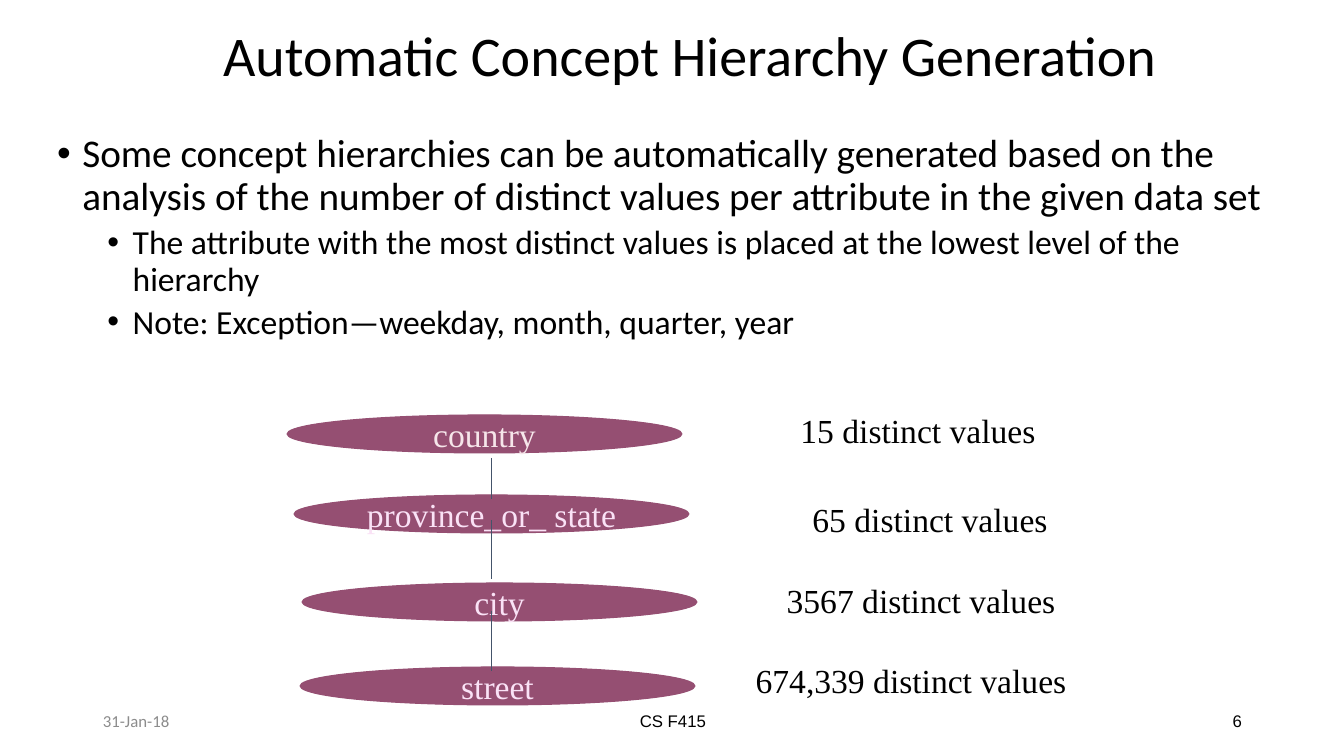
from dataclasses import dataclass

from lxml.etree import SubElement
from pptx import Presentation
from pptx.dml.color import RGBColor
from pptx.enum.shapes import MSO_CONNECTOR as Connector, MSO_SHAPE as Shape
from pptx.enum.text import MSO_ANCHOR as Anchor, MSO_AUTO_SIZE as AutoSize, PP_ALIGN as Align
from pptx.oxml.ns import qn
from pptx.util import Emu, Pt

EMU_PER_PIXEL = 914400 / 100.8


@dataclass(frozen=True)
class Theme:
    """Colours, fonts and type sizes of the slide."""
    ink: str = "000000"
    muted: str = "8C8C8C"
    level_fill: str = "954F72"
    top_label: str = "F6E6EA"
    level_label: str = "FAE2F6"
    link: str = "44546A"
    sans: str = "Calibri"
    serif: str = "Times New Roman"
    footer: str = "Arial"
    title_size: int = 40
    point_size: int = 28
    diagram_size: int = 24
    footer_size: int = 12


THEME = Theme()
POINTS = [
    (0, "Some concept hierarchies can be automatically generated based on the "
        "analysis of the number of distinct values per attribute in the given data set"),
    (1, "The attribute with the most distinct values is placed at the lowest level of the hierarchy"),
    (1, "Note: Exception—weekday, month, quarter, year"),
]
LEVELS = [
    ("country", THEME.top_label, 0, 10),
    ("province_or_ state", THEME.level_label, 7, 90),
    ("city", THEME.level_label, 15, 178),
    ("street", THEME.level_label, 13, 262),
]
LINKS = [(53, 94), (115, 174), (206, 266)]
COUNTS = [
    ("15 distinct values", 461, 0),
    ("65 distinct values", 473, 89),
    ("3567 distinct values", 464, 170),
    ("674,339 distinct values", 454, 250),
]
FOOTERS = [
    ("31-Jan-18", 0, 302, Align.LEFT, THEME.sans, THEME.muted),
    ("CS F415", 353, 454, Align.CENTER, THEME.footer, THEME.ink),
    ("6", 857, 302, Align.RIGHT, THEME.footer, THEME.ink),
]


def px(*lengths):
    """Turn pixel lengths into EMU."""
    return [Emu(round(length * EMU_PER_PIXEL)) for length in lengths]


def style(paragraph, size, face, colour, align):
    """Set the font and alignment of a paragraph."""
    paragraph.alignment = align
    paragraph.font.size = Pt(size)
    paragraph.font.name = face
    paragraph.font.color.rgb = RGBColor.from_string(colour)


def place(placeholder, box):
    """Move a placeholder to a box and stop it from shrinking its text."""
    placeholder.left, placeholder.top, placeholder.width, placeholder.height = px(*box)
    placeholder.text_frame.auto_size = AutoSize.NONE
    return placeholder.text_frame


def add_label(slide, box, text, size, face, colour, align, anchor=Anchor.TOP):
    """Add one line of free text."""
    frame = slide.shapes.add_textbox(*px(*box)).text_frame
    frame.word_wrap, frame.vertical_anchor = True, anchor
    frame.text = text
    style(frame.paragraphs[0], size, face, colour, align)


def fill_title(slide, box):
    """Write the slide title."""
    frame = place(slide.shapes.title, box)
    frame.vertical_anchor = Anchor.MIDDLE
    frame.text = "Automatic Concept Hierarchy Generation"
    heading = frame.paragraphs[0]
    heading.line_spacing = 0.9
    style(heading, THEME.title_size, THEME.sans, THEME.ink, Align.LEFT)


def fill_points(slide, box):
    """Write the bulleted points on their two levels."""
    frame = place(slide.placeholders[1], box)
    frame.text = "\n".join(text for _, text in POINTS)
    for point, (level, _) in zip(frame.paragraphs, POINTS):
        point.level = level
        point.line_spacing = 0.9
        point.space_before = Pt(5 if level else 10)
        size = THEME.diagram_size if level else THEME.point_size
        style(point, size, THEME.sans, THEME.ink, Align.LEFT)
        properties = point._p.get_or_add_pPr()
        properties.set("marL", str(Pt(18 + 36 * level)))
        properties.set("indent", str(Pt(-18)))
        SubElement(properties, qn("a:buFont"), typeface="Arial")
        SubElement(properties, qn("a:buChar"), char="•")


def add_level(slide, box, name, colour):
    """Add one ellipse of the hierarchy."""
    level = slide.shapes.add_shape(Shape.OVAL, *px(*box))
    level.shadow.inherit = False
    level.fill.solid()
    level.fill.fore_color.rgb = RGBColor.from_string(THEME.level_fill)
    level.line.color.rgb = RGBColor.from_string(THEME.level_fill)
    level.line.width = Pt(0.75)
    frame = level.text_frame
    frame.word_wrap, frame.vertical_anchor = False, Anchor.MIDDLE
    frame.text = name
    style(frame.paragraphs[0], THEME.diagram_size, THEME.serif, colour, Align.CENTER)


def add_link(slide, x, top, bottom):
    """Add a vertical line between two levels."""
    link = slide.shapes.add_connector(Connector.STRAIGHT, *px(x, top, x, bottom))
    link.line.color.rgb = RGBColor.from_string(THEME.link)
    link.line.width = Pt(0.75)
    SubElement(link._element.spPr, qn("a:effectLst"))


def add_hierarchy(slide, box):
    """Draw the levels, their links and the counts of distinct values."""
    left, top, _, _ = box
    for name, colour, dx, dy in LEVELS:
        add_level(slide, (left + dx, top + dy, 395, 38), name, colour)
    for start, end in LINKS:
        add_link(slide, left + 205, top + start, top + end)
    for count, dx, dy in COUNTS:
        add_label(slide, (left + dx, top + dy, 340, 50), count, THEME.diagram_size,
                  THEME.serif, THEME.ink, Align.CENTER)


def add_footer(slide, box):
    """Add the date, the course and the slide number."""
    left, top, _, height = box
    for text, dx, width, align, face, colour in FOOTERS:
        add_label(slide, (left + dx, top, width, height), text, THEME.footer_size,
                  face, colour, align, Anchor.MIDDLE)


def main():
    """Build and save the slide."""
    deck = Presentation()
    deck.slide_width, deck.slide_height = px(1344, 756)
    slide = deck.slides.add_slide(deck.slide_layouts[1])
    fill_title(slide, (213, 30, 1064, 56))
    fill_points(slide, (47, 129, 1229, 288))
    add_hierarchy(slide, (287, 405, 801, 300))
    add_footer(slide, (93, 701, 1159, 40))
    deck.save("out.pptx")


main()
